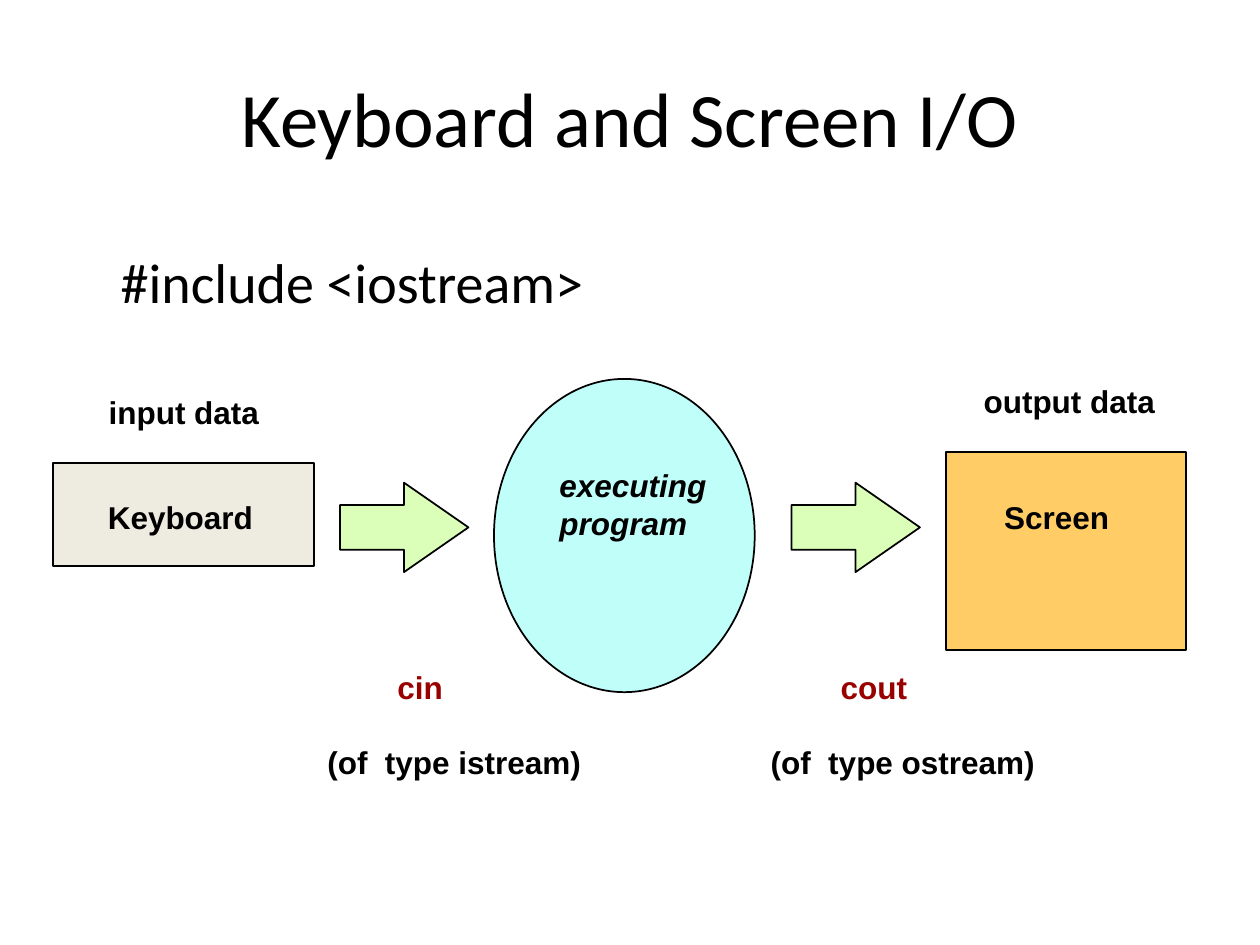
from dataclasses import dataclass

from pptx import Presentation
from pptx import util as u
from pptx.dml.color import RGBColor
from pptx.enum import shapes, text


@dataclass(frozen=True)
class Theme:
    """Colours, fonts and type sizes of the slide."""
    ink: str = "000000"
    stream: str = "990000"
    program: str = "C0FEF9"
    keyboard: str = "EEECE1"
    screen: str = "FFCC66"
    arrow: str = "DBFFB8"
    heading_font: str = "Calibri"
    label_font: str = "Arial"
    title: int = 44
    code: int = 32
    label: int = 18


THEME = Theme()
SHAPE = shapes.MSO_SHAPE


def box(*lengths):
    """Turn left, top, width and height in points into lengths."""
    return [u.Pt(n) for n in lengths]


def add_run(p, words, size, font, color=THEME.ink, bold=False, italic=False):
    """Add one formatted run to a paragraph."""
    r = p.add_run()
    r.text = words
    r.font.size = u.Pt(size)
    r.font.name = font
    r.font.bold = bold
    r.font.italic = italic
    r.font.color.rgb = RGBColor.from_string(color)


def set_title(s, words):
    """Place and fill the title placeholder."""
    sp = s.shapes.title
    sp.left, sp.top, sp.width, sp.height = box(36, 21.6, 648, 90)
    sp.text_frame.vertical_anchor = text.MSO_ANCHOR.MIDDLE
    p = sp.text_frame.paragraphs[0]
    p.alignment = text.PP_ALIGN.CENTER
    add_run(p, words, THEME.title, THEME.heading_font)


def add_code(s, words):
    """Add the include directive under the title."""
    tf = s.shapes.add_textbox(*box(48, 138, 474, 54)).text_frame
    tf.word_wrap = True
    tf.margin_left = u.Pt(21)
    add_run(tf.paragraphs[0], words, THEME.code, THEME.heading_font)


def add_shape(s, kind, place, fill):
    """Add an outlined preset shape."""
    sp = s.shapes.add_shape(kind, *box(*place))
    sp.shadow.inherit = False
    sp.fill.solid()
    sp.fill.fore_color.rgb = RGBColor.from_string(fill)
    sp.line.color.rgb = RGBColor.from_string(THEME.ink)
    sp.line.width = u.Pt(1)
    return sp


def add_arrow(s, left):
    """Add a block arrow of the data flow."""
    sp = add_shape(s, SHAPE.RIGHT_ARROW, (left, 275.8, 73.4, 51.1), THEME.arrow)
    sp.adjustments[0], sp.adjustments[1] = 0.5, 0.72


def add_label(s, place, lines, italic=False):
    """Add a bold label and return its text frame."""
    tf = s.shapes.add_textbox(*box(*place)).text_frame
    tf.word_wrap = False
    for i, (words, color) in enumerate(lines):
        p = tf.paragraphs[0] if i == 0 else tf.add_paragraph()
        add_run(p, words, THEME.label, THEME.label_font, color, True, italic)
    return tf


def add_stream(s, left, width, name, kind):
    """Add a stream name, indented above its type."""
    lines = [(name, THEME.stream), (f"(of  type {kind})", THEME.ink)]
    first, second = add_label(s, (left, 378, width, 72), lines).paragraphs
    first._p.get_or_add_pPr().set("marL", str(u.Pt(40)))
    second.space_before = u.Pt(21.5)


def main():
    """Build and save the slide."""
    prs = Presentation()
    prs.slide_width, prs.slide_height = u.Pt(720), u.Pt(540)
    s = prs.slides.add_slide(prs.slide_layouts[5])
    set_title(s, "Keyboard and Screen I/O")
    add_code(s, "#include <iostream>")
    add_stream(s, 180, 160, "cin", "istream")
    add_stream(s, 433.3, 165.6, "cout", "ostream")
    add_shape(s, SHAPE.OVAL, (282.3, 216.5, 149, 179), THEME.program)
    add_shape(s, SHAPE.RECTANGLE, (30.3, 264.4, 149, 59), THEME.keyboard)
    add_shape(s, SHAPE.RECTANGLE, (540.6, 258.4, 137, 113), THEME.screen)
    for left in (194.3, 452.3):
        add_arrow(s, left)
    for words, place in (
        ("Keyboard", (54.5, 281, 98, 29)),
        ("Screen", (566.7, 281, 75, 29)),
        ("input data", (55, 221, 101, 29)),
        ("output data", (555, 214.7, 112.5, 29)),
    ):
        add_label(s, place, [(words, THEME.ink)])
    program = [(word, THEME.ink) for word in ("executing", "program")]
    add_label(s, (312.6, 262.8, 98.6, 50.4), program, italic=True)
    prs.save("out.pptx")


if __name__ == "__main__":
    main()
